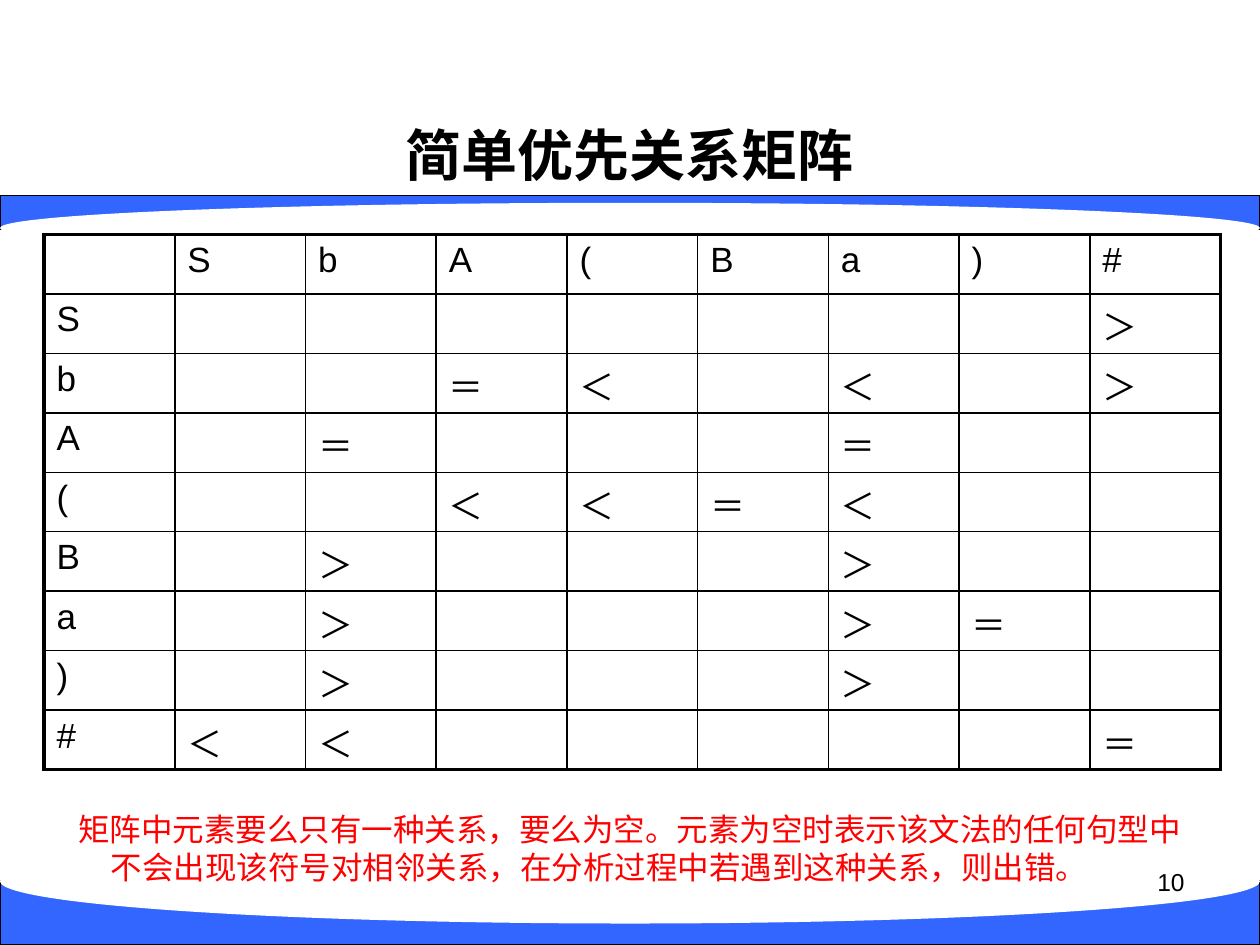
from lxml import etree
from pptx import Presentation
from pptx.dml.color import RGBColor
from pptx.enum.shapes import MSO_SHAPE as Shape
from pptx.enum.text import MSO_ANCHOR as Anchor, PP_ALIGN as Align
from pptx.oxml.ns import qn
from pptx.util import Inches, Pt

COLORS = {"text": "000000", "note": "FF0000", "band": "3366FF", "paper": "FFFFFF"}

SYMBOLS = "SbA(Ba)#"
# One string per row symbol; a dot marks an empty cell
RELATIONS = [
    ".......＞",
    "..＝＜.＜.＞",
    ".＝...＝..",
    "..＜＜＝＜..",
    ".＞...＞..",
    ".＞...＞＝.",
    ".＞...＞..",
    "＜＜.....＝",
]


def rgb(name):
    return RGBColor.from_string(COLORS[name])


class SlideBuilder:
    font_name = "Arial"
    inner_width, outer_width = 1, 2.25

    def __init__(self, slide):
        self.slide = slide

    def shape(self, kind, left, top, width, height, fill, line=None):
        shape = self.slide.shapes.add_shape(
            kind, Inches(left), Inches(top), Inches(width), Inches(height))
        shape.shadow.inherit = False
        shape.fill.solid()
        shape.fill.fore_color.rgb = rgb(fill)
        if line:
            shape.line.color.rgb = rgb(line)
            shape.line.width = Pt(0.75)
        else:
            shape.line.fill.background()

    def add_span(self, para, text, size, color="text", bold=False):
        span = para.add_run()
        span.text = text
        span.font.name = self.font_name
        span.font.size = Pt(size)
        span.font.bold = bold
        span.font.color.rgb = rgb(color)

    def text(self, left, top, width, height, lines, size,
             color="text", bold=False, anchor=Anchor.TOP):
        box = self.slide.shapes.add_textbox(
            Inches(left), Inches(top), Inches(width), Inches(height))
        frame = box.text_frame
        frame.word_wrap = True
        frame.vertical_anchor = anchor
        for index, (line, align) in enumerate(lines):
            para = frame.add_paragraph() if index else frame.paragraphs[0]
            para.alignment = align
            self.add_span(para, line, size, color, bold)

    def border(self, cell, sides):
        properties = cell._tc.get_or_add_tcPr()
        for index, (side, outer) in enumerate(sides.items()):
            width = Pt(self.outer_width if outer else self.inner_width)
            line = etree.Element(qn(f"a:ln{side}"), w=str(width))
            fill = etree.SubElement(line, qn("a:solidFill"))
            etree.SubElement(fill, qn("a:srgbClr"), val=COLORS["text"])
            properties.insert(index, line)

    def table(self, left, top, width, height, rows, size):
        row_count, column_count = len(rows), len(rows[0])
        frame = self.slide.shapes.add_table(
            row_count, column_count,
            Inches(left), Inches(top), Inches(width), Inches(height))
        table = frame.table
        table.first_row = table.horz_banding = False
        for row, values in enumerate(rows):
            for column, value in enumerate(values):
                cell = table.cell(row, column)
                cell.fill.background()
                self.border(cell, {
                    "L": column == 0, "R": column == column_count - 1,
                    "T": row == 0, "B": row == row_count - 1})
                if value != ".":
                    self.add_span(cell.text_frame.paragraphs[0], value, size)


def main():
    deck = Presentation()
    deck.slide_width, deck.slide_height = Inches(10), Inches(7.5)
    page = SlideBuilder(deck.slides.add_slide(deck.slide_layouts[6]))

    # Curved bands above and below the content
    page.shape(Shape.RECTANGLE, 0, 1.55, 10, 0.27, "band", "text")
    page.shape(Shape.OVAL, 0, 1.61, 10, 0.4, "paper")
    page.shape(Shape.RECTANGLE, 0, 6.99, 10, 0.51, "band", "text")
    page.shape(Shape.OVAL, 0, 6.66, 10, 0.67, "paper")

    # Title
    page.text(0.33, 0.91, 9.34, 0.63, [("简单优先关系矩阵", Align.CENTER)], 32,
              bold=True, anchor=Anchor.MIDDLE)

    # Precedence matrix
    matrix = ["." + SYMBOLS]
    matrix += [symbol + row for symbol, row in zip(SYMBOLS, RELATIONS)]
    page.table(0.35, 1.86, 9.34, 4.25, matrix, 20)

    # Page number and note
    page.text(7.17, 6.83, 2.33, 0.52, [("10", Align.RIGHT)], 14)
    page.text(0.04, 6.38, 9.43, 0.71, [
        ("矩阵中元素要么只有一种关系，要么为空。元素为空时表示该文法的任何句型中", Align.RIGHT),
        ("不会出现该符号对相邻关系，在分析过程中若遇到这种关系，则出错。", Align.CENTER),
    ], 18, color="note")

    deck.save("out.pptx")


if __name__ == "__main__":
    main()
